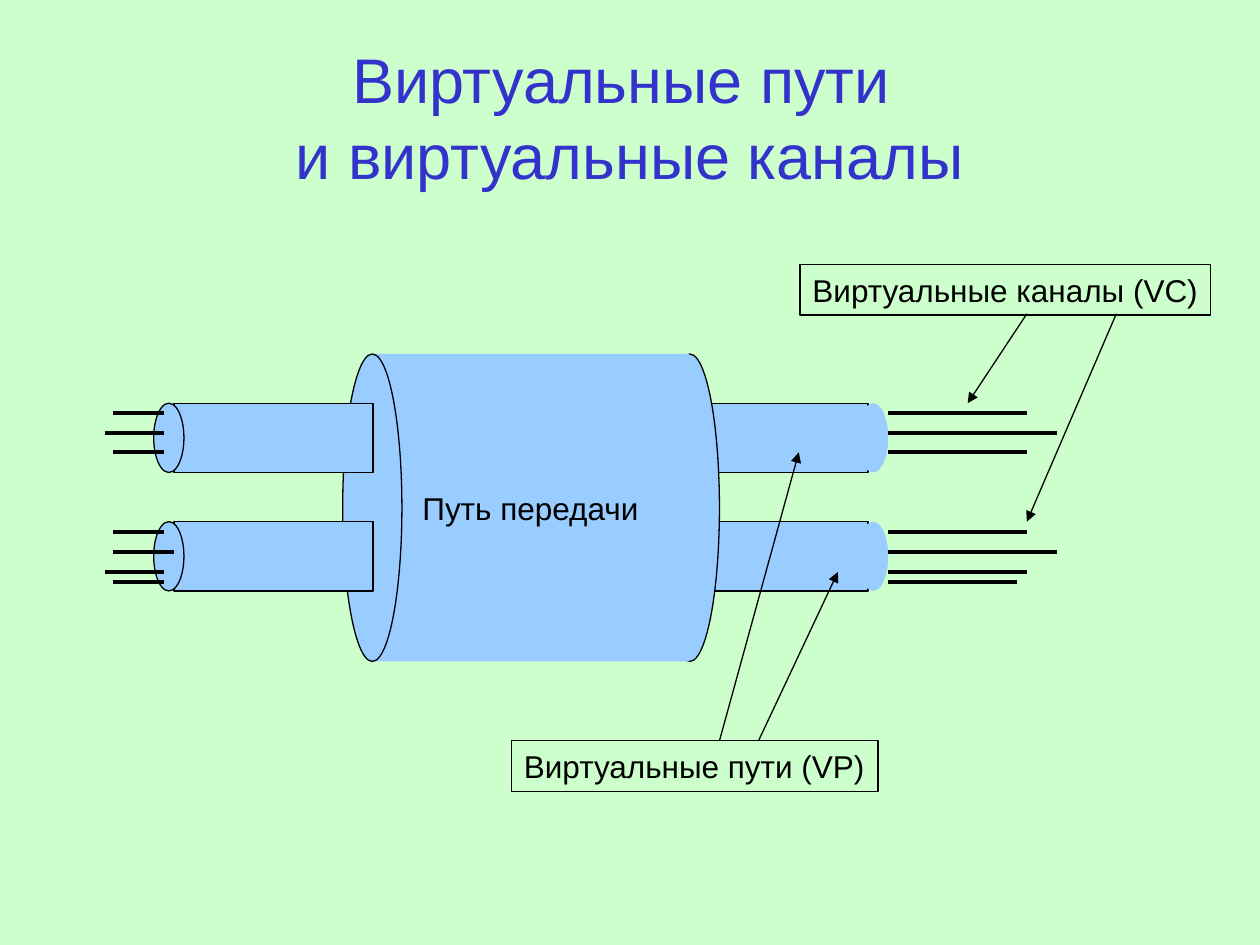
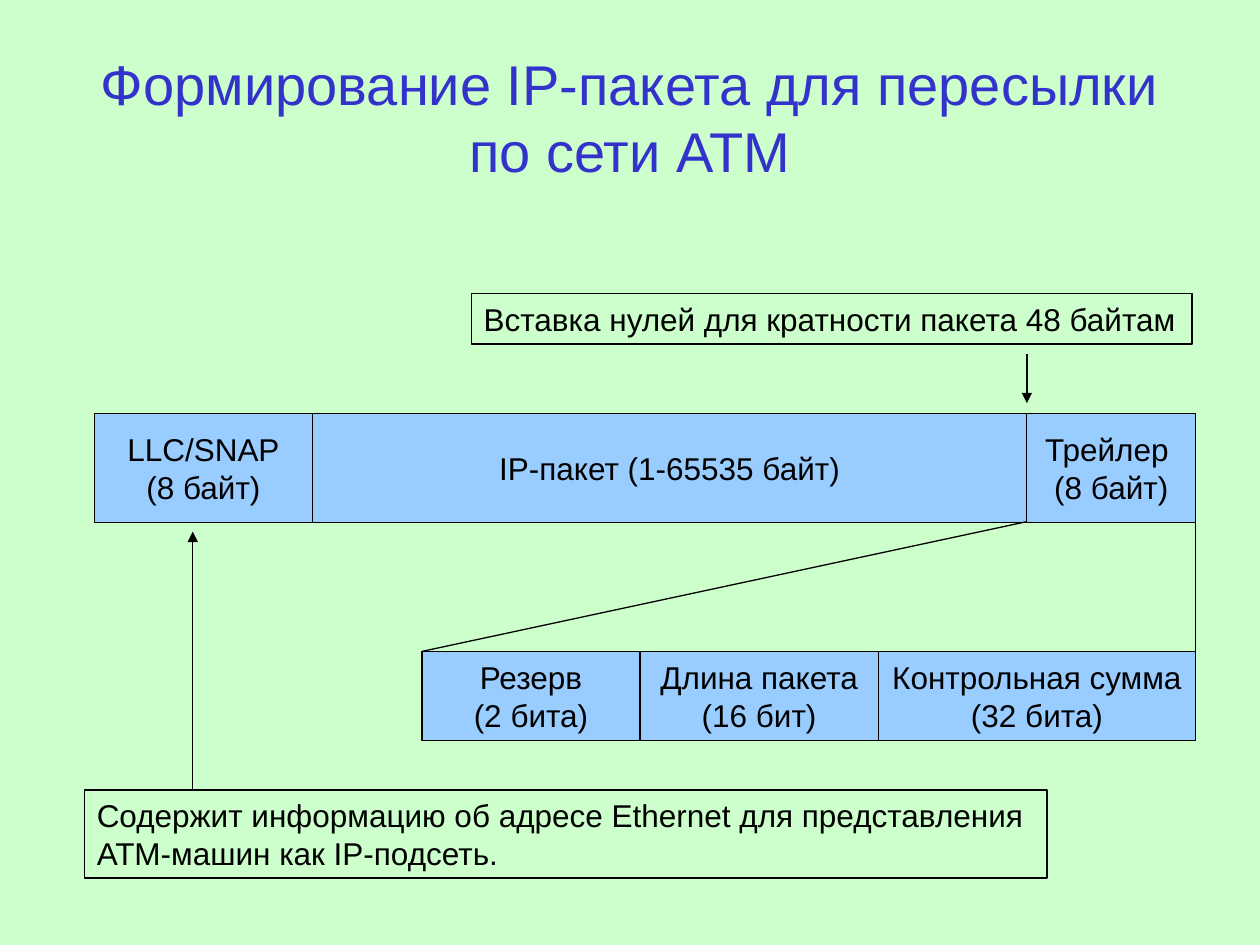
from dataclasses import dataclass

from lxml import etree
from pptx import Presentation
from pptx.dml.color import RGBColor
from pptx.enum.shapes import MSO_CONNECTOR, MSO_SHAPE
from pptx.enum.text import MSO_ANCHOR, MSO_AUTO_SIZE, PP_ALIGN
from pptx.oxml.ns import qn
from pptx.util import Inches, Pt

RECT, ELLIPSE = MSO_SHAPE.RECTANGLE, MSO_SHAPE.OVAL
STRAIGHT = MSO_CONNECTOR.STRAIGHT
TOP, MIDDLE = MSO_ANCHOR.TOP, MSO_ANCHOR.MIDDLE
LEFT, CENTER = PP_ALIGN.LEFT, PP_ALIGN.CENTER
FIT_SHAPE, FIXED = MSO_AUTO_SIZE.SHAPE_TO_FIT_TEXT, MSO_AUTO_SIZE.NONE


@dataclass(frozen=True)
class Theme:
    background: RGBColor = RGBColor(0xCC, 0xFF, 0xCC)
    block: RGBColor = RGBColor(0x99, 0xCC, 0xFF)
    title: RGBColor = RGBColor(0x33, 0x33, 0xCC)
    ink: RGBColor = RGBColor(0, 0, 0)
    font: str = "Arial"
    title_size: int = 36
    long_title_size: int = 32
    body_size: int = 18
    thin: float = 0.75
    thick: float = 2.25


# Text frame formats by role
FRAMES = {
    "title": {"word_wrap": True, "vertical_anchor": MIDDLE, "auto_size": FIXED},
    "block": {"word_wrap": False, "vertical_anchor": MIDDLE, "auto_size": FIXED},
    "note": {"word_wrap": False, "vertical_anchor": TOP, "auto_size": FIT_SHAPE},
}


class Deck:
    """Holds the theme and the slide being drawn."""

    def __init__(self, theme):
        self.theme = theme
        self.prs = Presentation()
        self.prs.slide_width, self.prs.slide_height = Inches(10), Inches(7.5)
        self.slide = None

    def new_slide(self):
        self.slide = self.prs.slides.add_slide(self.prs.slide_layouts[6])
        fill = self.slide.background.fill
        fill.solid()
        fill.fore_color.rgb = self.theme.background

    def set_text(self, frame, role, paragraphs, align, size, color):
        for name, value in FRAMES[role].items():
            setattr(frame, name, value)
        for index, text in enumerate(paragraphs):
            paragraph = frame.add_paragraph() if index else frame.paragraphs[0]
            paragraph.text = text
            paragraph.alignment = align
            for run in paragraph.runs:
                values = {"name": self.theme.font, "size": Pt(size)}
                for name, value in values.items():
                    setattr(run.font, name, value)
                run.font.color.rgb = color

    def title(self, text, size):
        box = self.slide.shapes.add_textbox(*map(Inches, (0.5, 0.3, 9, 1.25)))
        self.set_text(box.text_frame, "title", [text], CENTER, size, self.theme.title)

    def figure(self, kind, place, filled=True, outlined=True):
        shape = self.slide.shapes.add_shape(kind, *map(Inches, place))
        shape.shadow.inherit = False
        if filled:
            shape.fill.solid()
            shape.fill.fore_color.rgb = self.theme.block
        else:
            shape.fill.background()
        if outlined:
            shape.line.color.rgb = self.theme.ink
            shape.line.width = Pt(self.theme.thin)
        else:
            shape.line.fill.background()
        return shape

    def block(self, place, *paragraphs, outlined=True):
        shape = self.figure(RECT, place, outlined=outlined)
        self.set_text(shape.text_frame, "block", paragraphs, CENTER,
                      self.theme.body_size, self.theme.ink)

    def note(self, place, *paragraphs):
        shape = self.figure(RECT, place, filled=False)
        self.set_text(shape.text_frame, "note", paragraphs, LEFT,
                      self.theme.body_size, self.theme.ink)

    def block_row(self, left, top, height, cells):
        for width, *paragraphs in cells:
            self.block((left, top, width, height), *paragraphs)
            left += width

    def line(self, start, end, width=None, arrow=False):
        link = self.slide.shapes.add_connector(STRAIGHT, *map(Inches, start + end))
        link.line.color.rgb = self.theme.ink
        link.line.width = Pt(width or self.theme.thin)
        properties = link.element.spPr
        if arrow:
            etree.SubElement(properties.find(qn("a:ln")), qn("a:tailEnd"), type="triangle")
        etree.SubElement(properties, qn("a:effectLst"))


def virtual_paths_slide(deck):
    deck.new_slide()
    deck.title("Виртуальные пути \nи виртуальные каналы", deck.theme.title_size)

    path_tops = (3.2, 4.14)
    path_width, path_height, cap_width = 1.58, 0.55, 0.24
    trunk_top, trunk_height, trunk_cap = 2.81, 2.44, 0.47

    # Right-hand paths go behind the transmission path
    for top in path_tops:
        deck.figure(RECT, (5.31, top, path_width, path_height))

    # Transmission path
    deck.figure(ELLIPSE, (5.24, trunk_top, trunk_cap, trunk_height))
    deck.block((2.95, trunk_top, 2.52, trunk_height), "Путь передачи", outlined=False)
    deck.figure(ELLIPSE, (2.72, trunk_top, trunk_cap, trunk_height))

    # Left-hand paths and the end caps on both sides
    for top in path_tops:
        deck.figure(RECT, (1.38, top, path_width, path_height))
        deck.figure(ELLIPSE, (1.22, top, cap_width, path_height))
        deck.figure(ELLIPSE, (6.81, top, cap_width, path_height), outlined=False)

    # Virtual channels: height, left start, left end, right end
    channels = (
        (3.28, 0.9, 1.3, 8.15),
        (3.44, 0.83, 1.3, 8.39),
        (3.59, 0.9, 1.3, 8.15),
        (4.22, 0.9, 1.3, 8.15),
        (4.38, 0.9, 1.38, 8.39),
        (4.54, 0.83, 1.3, 8.15),
        (4.62, 0.9, 1.3, 8.07),
    )
    for y, left_start, left_end, right_end in channels:
        for start, end in ((left_start, left_end), (7.05, right_end)):
            deck.line((start, y), (end, y), deck.theme.thick)

    # Labels with pointers
    deck.note((4.06, 5.88, 2.91, 0.4), "Виртуальные пути (VP)")
    deck.note((6.35, 2.1, 3.26, 0.4), "Виртуальные каналы (VC)")
    pointers = (
        ((8.15, 2.49), (7.68, 3.2)),
        ((8.86, 2.49), (8.15, 4.14)),
        ((6.02, 5.88), (6.65, 4.54)),
        ((5.71, 5.88), (6.34, 3.59)),
    )
    for start, end in pointers:
        deck.line(start, end, arrow=True)


def ip_packet_slide(deck):
    deck.new_slide()
    deck.title("Формирование IP-пакета для пересылки по сети АТМ",
               deck.theme.long_title_size)

    # Packet and the fields of its trailer
    deck.block_row(0.75, 3.28, 0.87, (
        (1.73, "LLC/SNAP", "(8 байт)"),
        (5.67, "IP-пакет (1-65535 байт)"),
        (1.34, "Трейлер ", "(8 байт)"),
    ))
    deck.block_row(3.35, 5.17, 0.71, (
        (1.73, "Резерв", "(2 бита)"),
        (1.89, "Длина пакета", "(16 бит)"),
        (2.52, "Контрольная сумма", "(32 бита)"),
    ))
    for packet_x, field_x in ((8.15, 3.35), (9.49, 9.49)):
        deck.line((packet_x, 4.14), (field_x, 5.17))

    # Notes with pointers
    deck.note((3.74, 2.33, 5.72, 0.4), "Вставка нулей для кратности пакета 48 байтам")
    deck.line((8.15, 2.81), (8.15, 3.2), arrow=True)
    deck.note((0.67, 6.27, 7.64, 0.7),
              "Содержит информацию об адресе Ethernet для представления",
              "АТМ-машин как IP-подсеть.")
    deck.line((1.53, 6.27), (1.53, 4.22), arrow=True)


def main():
    deck = Deck(Theme())
    virtual_paths_slide(deck)
    ip_packet_slide(deck)
    deck.prs.save("out.pptx")


if __name__ == "__main__":
    main()
